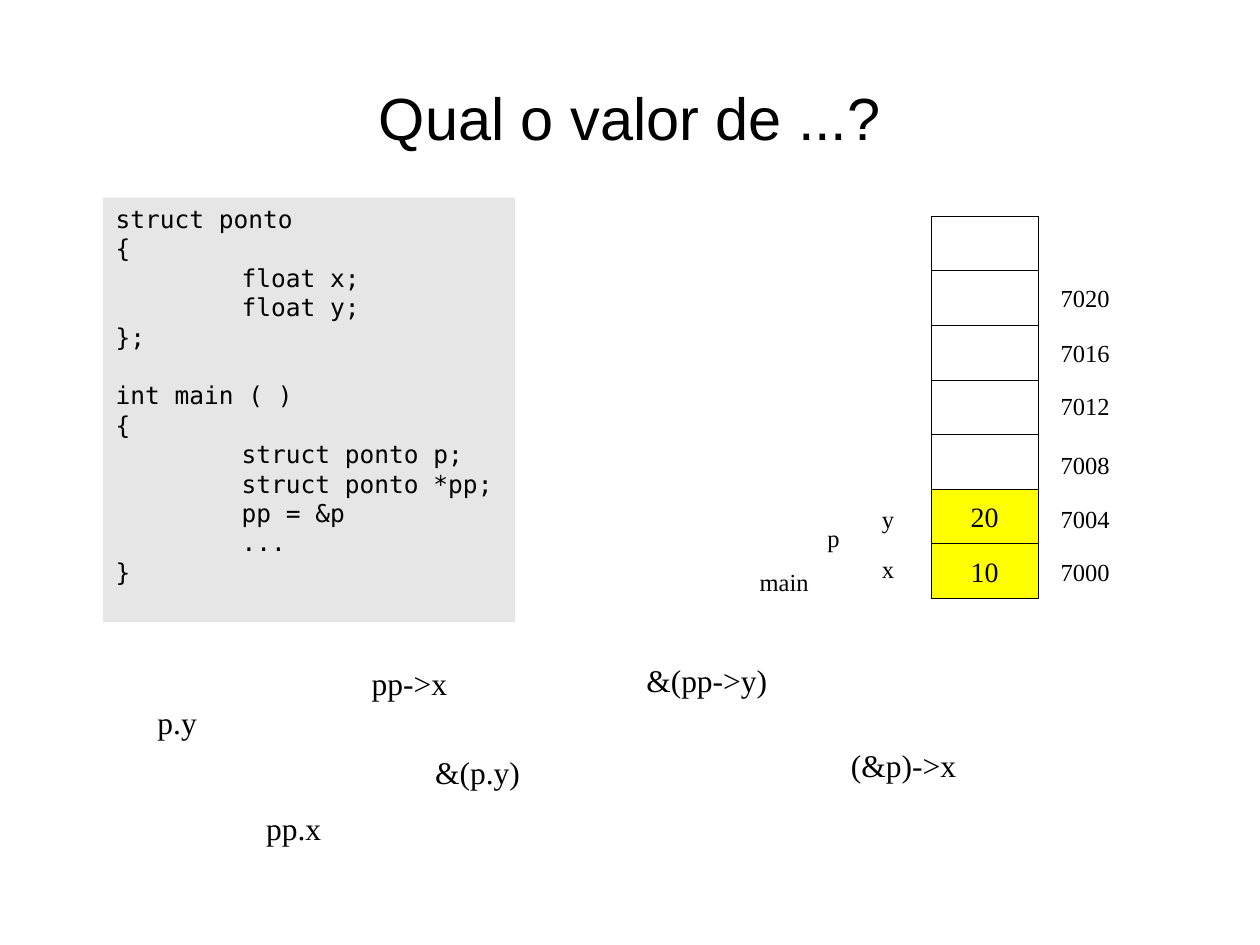
from lxml import etree
from pptx import Presentation
from pptx.dml.color import RGBColor
from pptx.enum.shapes import MSO_SHAPE
from pptx.enum.text import MSO_ANCHOR, PP_ALIGN
from pptx.oxml.ns import qn
from pptx.util import Pt

RECTANGLE = MSO_SHAPE.RECTANGLE
TOP, MIDDLE = MSO_ANCHOR.TOP, MSO_ANCHOR.MIDDLE
LEFT, CENTER = PP_ALIGN.LEFT, PP_ALIGN.CENTER
TITLE_ONLY = 5

COLORS = {
    "ink": "000000",
    "code": "E6E6E6",
    "used": "FFFF00",
    "free": "FFFFFF",
}
SERIF, SANS, MONO = "Times New Roman", "Arial", "DejaVu Sans Mono"

STRUCT_CODE = ["struct ponto", "{", "\tfloat x;", "\tfloat y;", "};"]
MAIN_CODE = ["int main ( )", "{", "\tstruct ponto p;", "\tstruct ponto *pp;",
             "\tpp = &p", "\t...", "}"]
CODE_LINE = 16.8

# Memory cells, from the lowest address up
CELL_VALUES = ["10", "20", "", "", "", "", ""]
CELL_LEFT, CELL_WIDTH, CELL_HEIGHT, STACK_BOTTOM = 532.1, 61.2, 31.2, 342

# Address and its label's top
ADDRESSES = [("7000", 314.6), ("7004", 284.4), ("7008", 253.4),
             ("7012", 219.6), ("7016", 189.4), ("7020", 158.4)]

# Text, left, top, width
VARIABLES = [("main", 427, 320.4, 55.4), ("p", 465.8, 295.2, 31),
             ("y", 496.8, 284.4, 28.8), ("x", 496.8, 313.2, 28.8)]
EXPRESSIONS = [("p.y", 77.8, 398.2, 46.8), ("pp->x", 198, 375.8, 72),
               ("&(pp->y)", 354.2, 374.4, 99.4), ("(&p)->x", 473.8, 422.6, 85),
               ("&(p.y)", 239.8, 427, 66.2), ("pp.x", 131.8, 458.6, 72)]


def color(name):
    return RGBColor.from_string(COLORS[name])


def format_paragraph(para, size, font, align=LEFT):
    para.alignment = align
    para.font.size = Pt(size)
    para.font.name = font
    para.font.color.rgb = color("ink")


def add_title(page, text):
    title = page.shapes.title
    title.left, title.top = Pt(36), Pt(21.6)
    title.width, title.height = Pt(648), Pt(90)
    title.text_frame.vertical_anchor = MIDDLE
    title.text_frame.text = text
    format_paragraph(title.text_frame.paragraphs[0], 34, SANS, CENTER)


def add_rectangle(page, left, top, width, height, fill):
    box = page.shapes.add_shape(RECTANGLE, Pt(left), Pt(top), Pt(width), Pt(height))
    box.shadow.inherit = False
    box.fill.solid()
    box.fill.fore_color.rgb = color(fill)
    return box


def add_code(page):
    box = add_rectangle(page, 59, 113, 235.4, 242.6, "code")
    box.line.fill.background()
    frame = box.text_frame
    frame.word_wrap = True
    frame.vertical_anchor = TOP
    frame.text = "\n".join(STRUCT_CODE + MAIN_CODE)
    for para in frame.paragraphs:
        # One tab stop, an inch in
        tabs = etree.SubElement(para._p.get_or_add_pPr(), qn("a:tabLst"))
        etree.SubElement(tabs, qn("a:tab"), pos=str(Pt(72)), algn="l")
        para.line_spacing = Pt(CODE_LINE)
        format_paragraph(para, 14, MONO)
    frame.paragraphs[len(STRUCT_CODE)].space_before = Pt(CODE_LINE)


def add_cell(page, index, value):
    top = STACK_BOTTOM - (index + 1) * CELL_HEIGHT
    fill = "used" if value else "free"
    cell = add_rectangle(page, CELL_LEFT, top, CELL_WIDTH, CELL_HEIGHT, fill)
    cell.line.color.rgb = color("ink")
    cell.line.width = Pt(0.5)
    if value:
        cell.text_frame.vertical_anchor = MIDDLE
        cell.text_frame.text = value
        format_paragraph(cell.text_frame.paragraphs[0], 16, SERIF, CENTER)


def add_label(page, text, left, top, width, size=14, align=LEFT):
    box = page.shapes.add_textbox(Pt(left), Pt(top), Pt(width), Pt(size * 1.2 + 7.2))
    box.text_frame.word_wrap = True
    box.text_frame.text = text
    format_paragraph(box.text_frame.paragraphs[0], size, SERIF, align)


def main():
    deck = Presentation()
    deck.slide_width, deck.slide_height = Pt(720), Pt(540)
    page = deck.slides.add_slide(deck.slide_layouts[TITLE_ONLY])

    add_title(page, "Qual o valor de ...?")
    add_code(page)

    # Memory diagram
    for index, value in enumerate(CELL_VALUES):
        add_cell(page, index, value)
    for address, top in ADDRESSES:
        add_label(page, address, 599, top, 55.4)
    for variable in VARIABLES:
        add_label(page, *variable)

    # Expressions to evaluate
    for expression in EXPRESSIONS:
        add_label(page, *expression, size=18, align=CENTER)

    deck.save("out.pptx")


if __name__ == "__main__":
    main()
